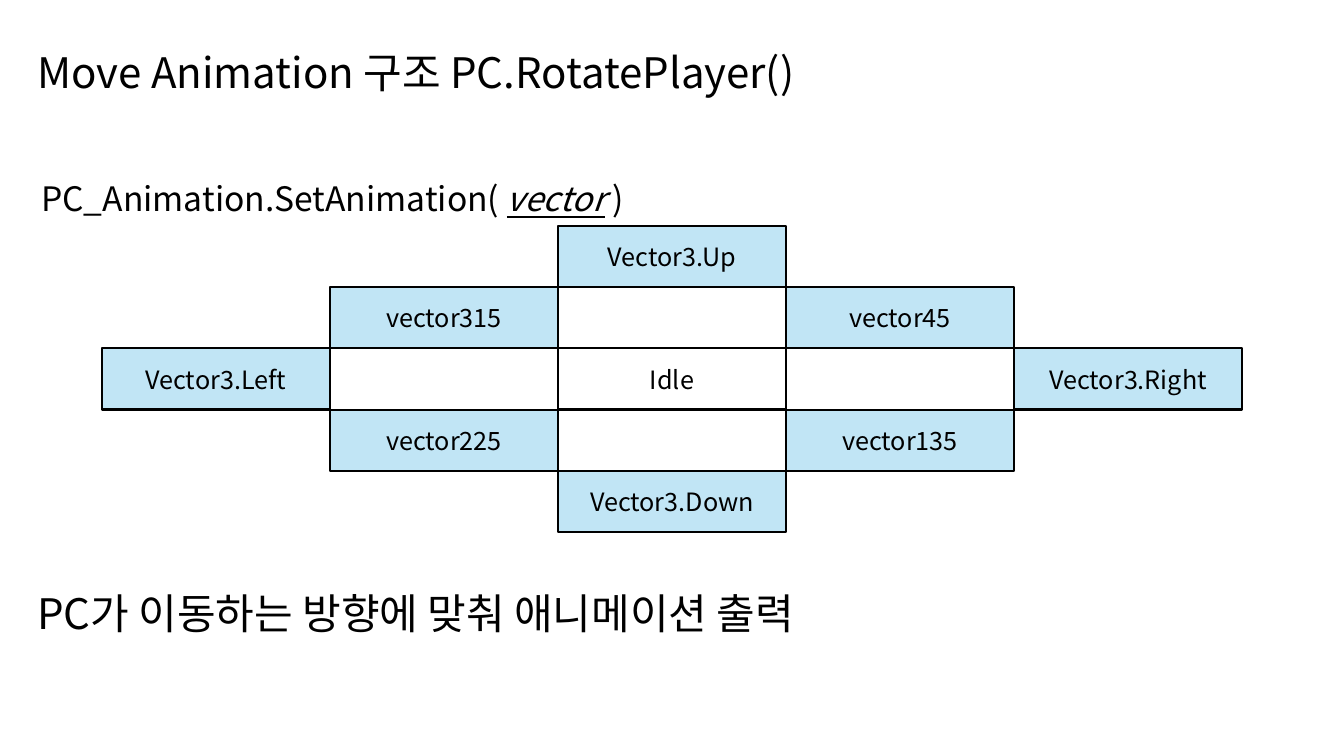
from lxml.etree import SubElement
from pptx import Presentation
from pptx.dml.color import RGBColor
from pptx.enum.shapes import MSO_SHAPE as Shape
from pptx.enum.text import MSO_ANCHOR as Anchor, MSO_AUTO_SIZE as Auto, PP_ALIGN as Align
from pptx.oxml.ns import qn
from pptx.util import Inches, Pt

BLACK = RGBColor(0x00, 0x00, 0x00)
SKY = RGBColor(0xC1, 0xE5, 0xF5)
FONT = "Noto Sans CJK KR"
SIDE = 5  # columns and rows of the direction grid

# Column and row of each direction, with Idle in the centre
MOVES = {
    "Idle": (2, 2),
    "vector315": (1, 1),
    "Vector3.Up": (2, 0),
    "vector45": (3, 1),
    "Vector3.Right": (4, 2),
    "Vector3.Left": (0, 2),
    "vector225": (1, 3),
    "vector135": (3, 3),
    "Vector3.Down": (2, 4),
}


def style(para, size, align=Align.LEFT):
    para.alignment = align
    for run in para.runs:
        font = run.font
        font.size, font.name = Pt(size), FONT
        font.color.rgb = BLACK
        # Hangul takes the East Asian typeface
        SubElement(run._r.get_or_add_rPr(), qn("a:ea"), typeface=FONT)


def put_title(slide, box, text):
    title = slide.shapes.title
    title.left, title.top, title.width, title.height = map(Inches, box)
    frame = title.text_frame
    frame.text = text
    frame.vertical_anchor = Anchor.TOP
    frame.auto_size = Auto.SHAPE_TO_FIT_TEXT
    style(frame.paragraphs[0], 30)


def put_line(slide, box, parts, size):
    frame = slide.shapes.add_textbox(*map(Inches, box)).text_frame
    frame.word_wrap = False
    frame.auto_size = Auto.SHAPE_TO_FIT_TEXT
    para = frame.paragraphs[0]
    for part in parts:
        para.add_run().text = part
    style(para, size)
    return para


def put_call(slide, box):
    para = put_line(slide, box, ["PC_Animation.SetAnimation( ", "vector", " )"], 24)
    arg = para.runs[1].font
    arg.italic = arg.underline = True


def put_grid(slide, box):
    left, top, width, height = map(Inches, box)
    wide, high = width // SIDE, height // SIDE
    for name, (col, row) in MOVES.items():
        cell = slide.shapes.add_shape(
            Shape.RECTANGLE, left + col * wide, top + row * high, wide, high)
        cell.shadow.inherit = False
        if name == "Idle":
            cell.fill.background()
        else:
            cell.fill.solid()
            cell.fill.fore_color.rgb = SKY
        cell.line.color.rgb = BLACK
        cell.line.width = Pt(1.5)
        frame = cell.text_frame
        frame.text = name
        frame.vertical_anchor = Anchor.MIDDLE
        style(frame.paragraphs[0], 18, Align.CENTER)


def main():
    deck = Presentation()
    deck.slide_width, deck.slide_height = Inches(13.33), Inches(7.5)
    slide = deck.slides.add_slide(deck.slide_layouts[5])
    put_title(slide, (0.27, 0.41, 12.71, 0.61), "Move Animation 구조 PC.RotatePlayer()")
    put_grid(slide, (1.01, 2.24, 11.31, 3.04))
    put_call(slide, (0.31, 1.72, 6.69, 0.5))
    put_line(slide, (0.27, 5.78, 8.3, 0.61),
             ["PC가 이동하는 방향에 맞춰 애니메이션 출력"], 30)
    deck.save("out.pptx")


if __name__ == "__main__":
    main()
